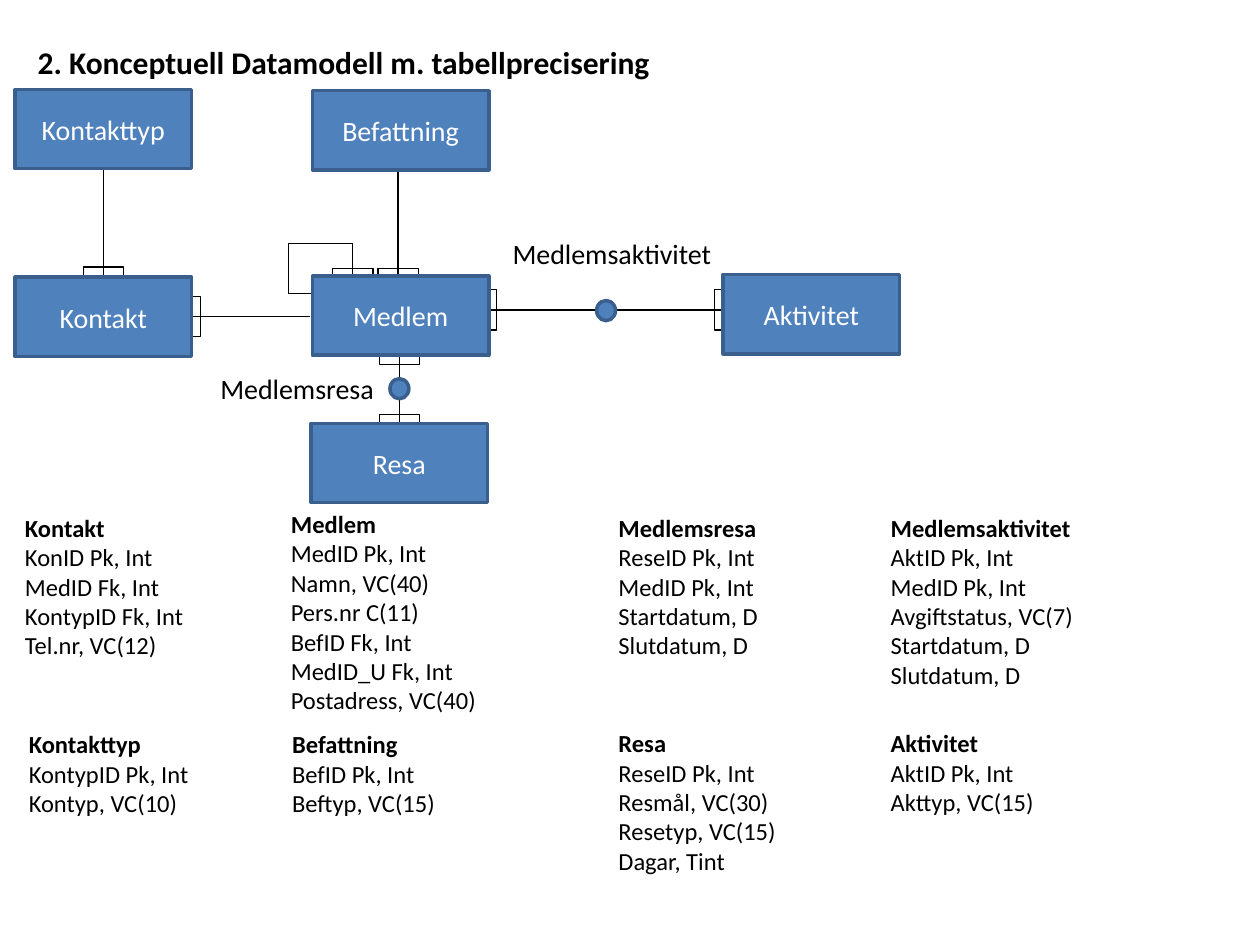
from math import atan2, cos, degrees, sin

from lxml import etree
from pptx import Presentation
from pptx.dml.color import RGBColor
from pptx.enum.shapes import MSO_CONNECTOR, MSO_SHAPE
from pptx.enum.text import MSO_ANCHOR, MSO_AUTO_SIZE, PP_ALIGN
from pptx.oxml.ns import qn
from pptx.util import Inches, Pt

BLACK, WHITE, BLUE, EDGE = "000000", "FFFFFF", "4F81BD", "3A5F8C"
FORK_W, FORK_H = 0.07, 0.32


def color(value):
    """Turn a hex string into a colour."""
    return RGBColor.from_string(value)


def add_run(p, text, size, value=BLACK, bold=False):
    """Add one formatted run to a paragraph."""
    r = p.add_run()
    r.text = text
    r.font.name, r.font.size, r.font.bold = "Calibri", Pt(size), bold
    r.font.color.rgb = color(value)


def add_text(s, box, lines, size, bold_first=False):
    """Place a text box with one paragraph per line."""
    tf = s.shapes.add_textbox(*map(Inches, box)).text_frame
    tf.word_wrap = True
    tf.auto_size = MSO_AUTO_SIZE.SHAPE_TO_FIT_TEXT
    for i, line in enumerate(lines):
        p = tf.paragraphs[0] if i == 0 else tf.add_paragraph()
        add_run(p, line, size, bold=bold_first and i == 0)


def add_box(s, kind, box, fill, line, width):
    """Place a preset shape; a fill of None leaves it open."""
    sp = s.shapes.add_shape(kind, *map(Inches, box))
    sp.shadow.inherit = False
    if fill:
        sp.fill.solid()
        sp.fill.fore_color.rgb = color(fill)
    else:
        sp.fill.background()
    sp.line.color.rgb = color(line)
    sp.line.width = Pt(width)
    return sp


def add_line(s, x1, y1, x2, y2):
    """Draw a thin black line."""
    line = s.shapes.add_connector(
        MSO_CONNECTOR.STRAIGHT, *map(Inches, (x1, y1, x2, y2)))
    line.line.color.rgb = color(BLACK)
    line.line.width = Pt(0.75)
    etree.SubElement(line._element.spPr, qn("a:effectLst"))


def add_relation(s, x1, y1, x2, y2):
    """Draw a line whose far end carries the fork for "many"."""
    add_line(s, x1, y1, x2, y2)
    angle = atan2(y2 - y1, x2 - x1)
    cx = x2 - cos(angle) * FORK_W / 2
    cy = y2 - sin(angle) * FORK_W / 2
    fork = add_box(s, MSO_SHAPE.RECTANGLE,
                   (cx - FORK_W / 2, cy - FORK_H / 2, FORK_W, FORK_H),
                   None, BLACK, 0.75)
    fork.rotation = degrees(angle) % 360


def add_node(s, x, y):
    """Place the dot of a many-to-many relation."""
    dot = add_box(s, MSO_SHAPE.FLOWCHART_CONNECTOR, (x, y, 0.16, 0.15), BLUE, EDGE, 2)
    dot.rotation = 270


def add_entity(s, name, x, y):
    """Place a named entity box."""
    sp = add_box(s, MSO_SHAPE.RECTANGLE, (x, y, 1.4, 0.63), BLUE, EDGE, 2)
    tf = sp.text_frame
    tf.vertical_anchor = MSO_ANCHOR.MIDDLE
    p = tf.paragraphs[0]
    p.alignment = PP_ALIGN.CENTER
    add_run(p, name, 16, WHITE)


def add_diagram(s, x, y):
    """Draw the data model with its top left corner at x, y."""
    loop = [(2.68, 1.22), (2.17, 1.22), (2.17, 1.62), (2.51, 1.62)]
    for (x1, y1), (x2, y2) in zip(loop, loop[1:]):
        add_line(s, x + x1, y + y1, x + x2, y + y2)
    for x1, y1, x2, y2 in [
        (2.68, 1.22, 2.68, 1.49), (3.04, 0.56, 3.04, 1.49),
        (0.7, 0.54, 0.7, 1.48), (2.34, 1.8, 1.4, 1.8),
        (4.69, 1.75, 3.75, 1.75), (4.69, 1.75, 5.62, 1.75),
        (3.05, 1.71, 3.05, 2.65), (3.05, 3.04, 3.05, 2.11),
    ]:
        add_relation(s, x + x1, y + y1, x + x2, y + y2)
    for dx, dy in [(4.61, 1.68), (2.97, 2.3)]:
        add_node(s, x + dx, y + dy)
    for name, dx, dy in [
        ("Aktivitet", 5.62, 1.47), ("Kontakt", 0, 1.49), ("Kontakttyp", 0, 0),
        ("Befattning", 2.36, 0.01), ("Medlem", 2.36, 1.48), ("Resa", 2.35, 2.65),
    ]:
        add_entity(s, name, x + dx, y + dy)
    add_text(s, (x + 3.85, y + 1.12, 2.03, 0.37), ["Medlemsaktivitet"], 16)
    add_text(s, (x + 1.53, y + 2.19, 1.69, 0.37), ["Medlemsresa"], 16)


def add_table_specs(s, x, y):
    """List the columns of every table, from the corner x, y."""
    specs = [
        (0, 0.03, 3.06, ["Kontakt", "KonID Pk, Int", "MedID Fk, Int",
                         "KontypID Fk, Int", "Tel.nr, VC(12)"]),
        (0.03, 1.75, 2.72, ["Kontakttyp", "KontypID Pk, Int", "Kontyp, VC(10)"]),
        (2.11, 0, 2.72, ["Medlem", "MedID Pk, Int", "Namn, VC(40)", "Pers.nr C(11)",
                         "BefID Fk, Int", "MedID_U Fk, Int", "Postadress, VC(40)"]),
        (2.12, 1.75, 2.72, ["Befattning", "BefID Pk, Int", "Beftyp, VC(15)"]),
        (4.71, 1.74, 2.72, ["Resa", "ReseID Pk, Int", "Resmål, VC(30)",
                            "Resetyp, VC(15)", "Dagar, Tint"]),
        (4.71, 0.03, 2.72, ["Medlemsresa", "ReseID Pk, Int", "MedID Pk, Int",
                            "Startdatum, D", "Slutdatum, D"]),
        (6.87, 0.03, 2.72, ["Medlemsaktivitet", "AktID Pk, Int", "MedID Pk, Int",
                            "Avgiftstatus, VC(7)", "Startdatum, D", "Slutdatum, D"]),
        (6.87, 1.74, 2.72, ["Aktivitet", "AktID Pk, Int", "Akttyp, VC(15)"]),
    ]
    for dx, dy, width, lines in specs:
        height = 0.1 + 0.235 * len(lines)
        add_text(s, (x + dx, y + dy, width, height), lines, 14, bold_first=True)


prs = Presentation()
prs.slide_width, prs.slide_height = Inches(10), Inches(7.5)
s = prs.slides.add_slide(prs.slide_layouts[6])
add_text(s, (0.2, 0.29, 7.09, 0.4),
         ["2. Konceptuell Datamodell m. tabellprecisering"], 18, bold_first=True)
add_diagram(s, 0.12, 0.71)
add_table_specs(s, 0.1, 3.99)
prs.save("out.pptx")
